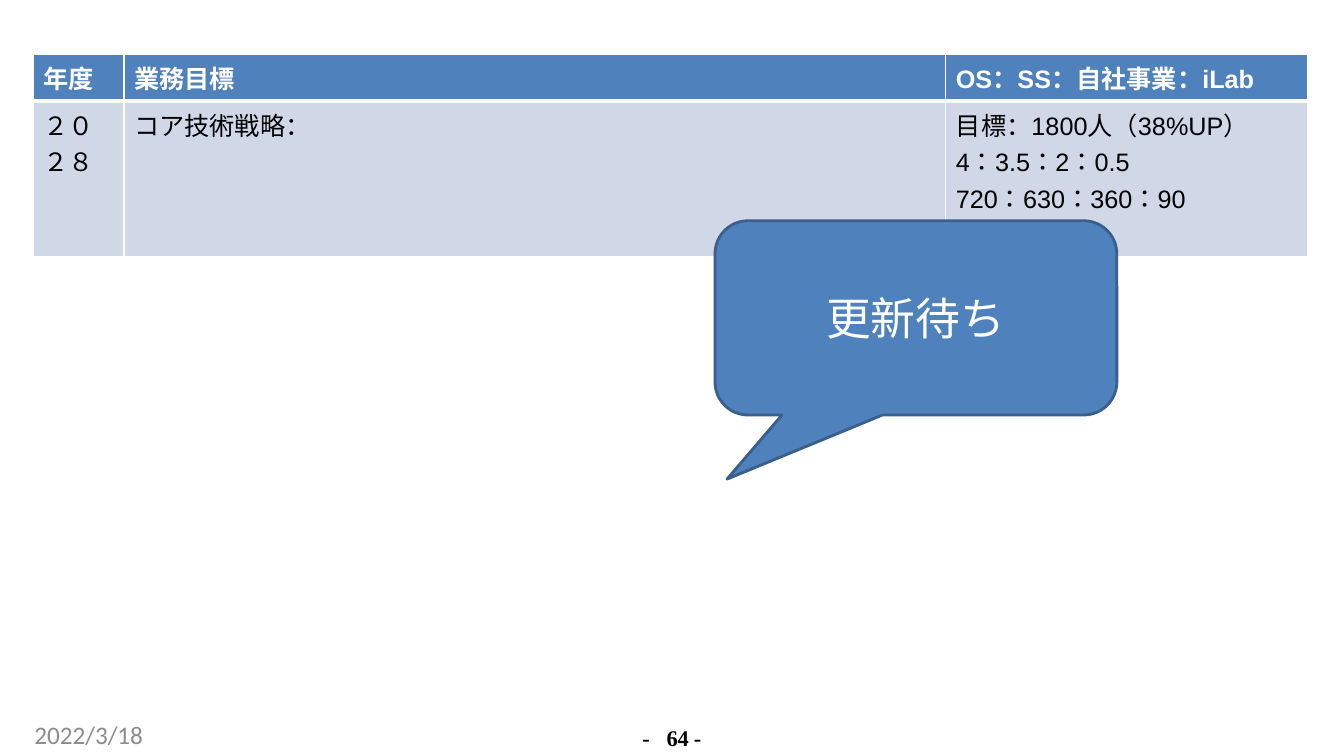
from lxml.etree import SubElement
from pptx import Presentation
from pptx.dml.color import RGBColor
from pptx.enum.shapes import MSO_SHAPE
from pptx.enum.text import MSO_ANCHOR, PP_ALIGN
from pptx.oxml.ns import qn
from pptx.util import Inches, Pt

COLORS = {"blue": "4F81BD", "pale": "D0D8E8", "outline": "3A5F8C",
          "white": "FFFFFF", "black": "000000", "gray": "8C8C8C"}
EAST_ASIAN_FONT = "Noto Sans CJK JP"
SLIDE_WIDTH, SLIDE_HEIGHT = 13.33, 7.5
GOAL_ROWS = [
    ["年度", "業務目標", "OS：SS：自社事業：iLab"],
    ["２０２８", "コア技術戦略：",
     "目標：1800人（38%UP）\n4：3.5：2：0.5\n720：630：360：90"],
]
COLUMN_SHARES = [0.071, 0.645, 0.284]
ROW_SHARES = [0.23, 0.77]


def color(name):
    """Return the named palette colour."""
    return RGBColor.from_string(COLORS[name])


def box(left, top, width, height):
    """Turn shares of the slide's size into lengths."""
    return (Inches(left * SLIDE_WIDTH), Inches(top * SLIDE_HEIGHT),
            Inches(width * SLIDE_WIDTH), Inches(height * SLIDE_HEIGHT))


def write(frame, text, size, font, ink, bold=False, align=PP_ALIGN.LEFT):
    """Fill a text frame and format all its runs alike."""
    frame.text = text
    for paragraph in frame.paragraphs:
        paragraph.alignment = align
        for run in paragraph.runs:
            run.font.size, run.font.name, run.font.bold = Pt(size), font, bold
            run.font.color.rgb = color(ink)
            SubElement(run._r.get_or_add_rPr(), qn("a:ea"), typeface=EAST_ASIAN_FONT)


def add_borders(cell, bottom):
    """Draw white borders around a cell, with its own bottom width."""
    properties = cell._tc.get_or_add_tcPr()
    for side, width in (("L", 1), ("R", 1), ("T", 1), ("B", bottom)):
        border = SubElement(properties, qn(f"a:ln{side}"), w=str(Pt(width)))
        fill = SubElement(border, qn("a:solidFill"))
        SubElement(fill, qn("a:srgbClr"), val=COLORS["white"])


def add_goal_table(slide, area):
    """Place the table of yearly business goals."""
    goals = slide.shapes.add_table(len(ROW_SHARES), len(COLUMN_SHARES), *area).table
    for column, share in zip(goals.columns, COLUMN_SHARES):
        column.width = int(area[2] * share)
    for row_index, (row, share, texts) in enumerate(
            zip(goals.rows, ROW_SHARES, GOAL_ROWS)):
        row.height = int(area[3] * share)
        header = row_index == 0
        for cell, text in zip(row.cells, texts):
            write(cell.text_frame, text, 18, "Arial",
                  "white" if header else "black", bold=header)
            add_borders(cell, 3 if header else 1)
            cell.fill.solid()
            cell.fill.fore_color.rgb = color("blue" if header else "pale")


def add_callout(slide, area):
    """Place the speech bubble that marks the pending update."""
    callout = slide.shapes.add_shape(MSO_SHAPE.ROUNDED_RECTANGULAR_CALLOUT, *area)
    for index, value in enumerate((-0.47, 0.83, 0.17)):
        callout.adjustments[index] = value
    callout.shadow.inherit = False
    callout.fill.solid()
    callout.fill.fore_color.rgb = color("blue")
    callout.line.color.rgb = color("outline")
    callout.line.width = Pt(2)
    callout.text_frame.vertical_anchor = MSO_ANCHOR.MIDDLE
    write(callout.text_frame, "更新待ち", 32, "Calibri", "white", align=PP_ALIGN.CENTER)


def add_footer_text(slide, area, text, *style, **options):
    """Place one footer text without margins and return its paragraph."""
    frame = slide.shapes.add_textbox(*area).text_frame
    frame.word_wrap = True
    frame.margin_left = frame.margin_top = frame.margin_right = frame.margin_bottom = 0
    write(frame, text, *style, **options)
    return frame.paragraphs[0]


def add_footer(slide):
    """Place the page number and the date."""
    page = add_footer_text(slide, box(0.467, 0.959, 0.065, 0.033), "-\t64 -", 16,
                           "Times New Roman", "black", bold=True, align=PP_ALIGN.CENTER)
    page.line_spacing = Pt(18.4)
    properties = page._p.get_or_add_pPr()
    properties.set("marL", str(Inches(0.01)))
    tabs = SubElement(properties, qn("a:tabLst"))
    SubElement(tabs, qn("a:tab"), pos=str(Inches(0.24)), algn="l")
    for run in page.runs:
        run._r.get_or_add_rPr().set("spc", "-10")
    add_footer_text(slide, box(0.0255, 0.952, 0.23, 0.04), "2022/3/18",
                    18, "Calibri", "gray")


def main():
    """Build the slide and save it."""
    deck = Presentation()
    deck.slide_width, deck.slide_height = Inches(SLIDE_WIDTH), Inches(SLIDE_HEIGHT)
    slide = deck.slides.add_slide(deck.slide_layouts[6])
    add_goal_table(slide, box(0.025, 0.072, 0.948, 0.267))
    add_footer(slide)
    add_callout(slide, box(0.532, 0.292, 0.299, 0.257))
    deck.save("out.pptx")


if __name__ == "__main__":
    main()
